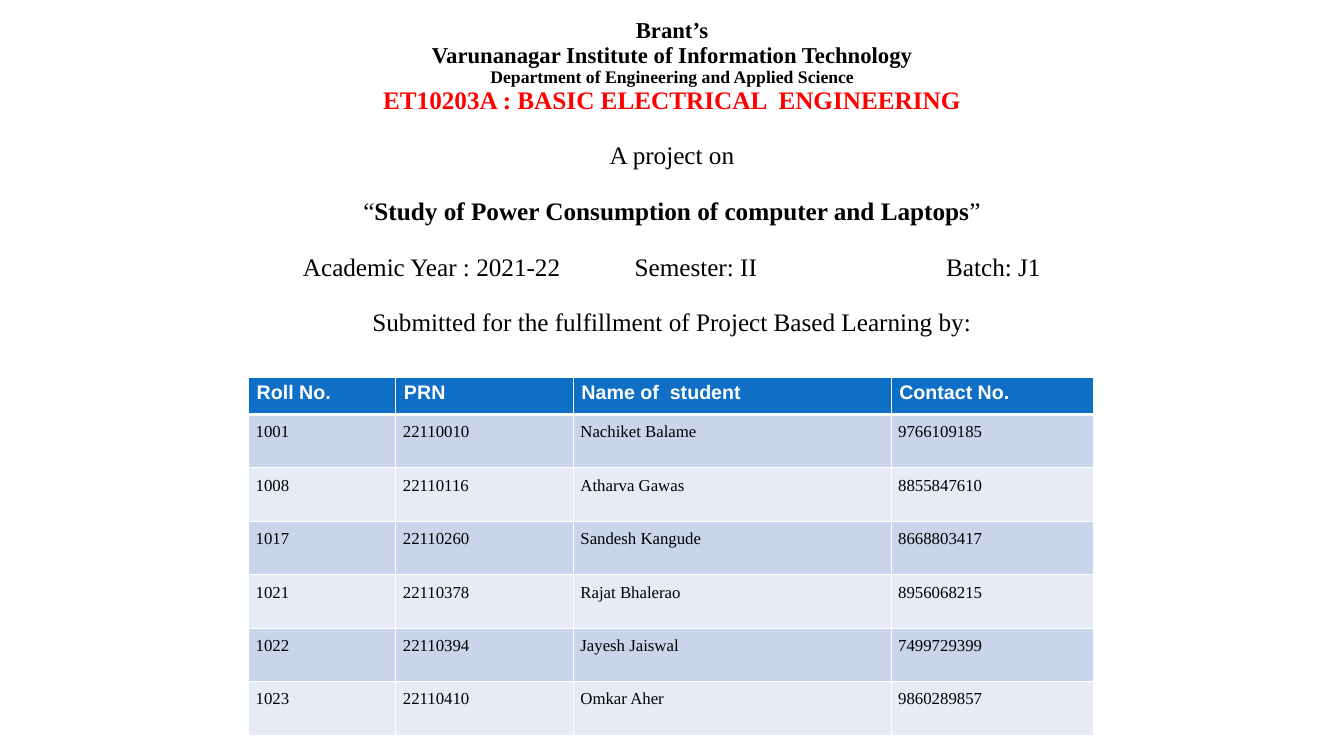
from lxml.etree import SubElement
from pptx import Presentation
from pptx.dml.color import RGBColor
from pptx.enum.text import PP_ALIGN as Align
from pptx.oxml.ns import qn
from pptx.util import Emu, Inches, Pt

BLACK = RGBColor(0x00, 0x00, 0x00)
WHITE = RGBColor(0xFF, 0xFF, 0xFF)
RED = RGBColor(0xFF, 0x00, 0x00)
BLUE = RGBColor(0x0F, 0x6F, 0xC6)
BAND_DARK = RGBColor(0xCA, 0xD4, 0xEA)
BAND_LIGHT = RGBColor(0xE6, 0xEB, 0xF5)

SERIF, SANS = "Times New Roman", "Arial"
GAP = 20.3
TAB_STOPS = (1.24, 4.53, 7.62)
COL_WEIGHTS = (1.46, 1.76, 3.15, 2.01)

HEADING = [
    ("Brant’s", 16.2, BLACK, True, 0),
    ("Varunanagar Institute of Information Technology", 16.2, BLACK, True, 0),
    ("Department of Engineering and Applied Science", 12.6, BLACK, True, 0),
    ("ET10203A : BASIC ELECTRICAL  ENGINEERING", 18, RED, True, 0),
    ("A project on", 18, BLACK, False, GAP),
]
TOPIC = "Study of Power Consumption of computer and Laptops"
TERM = ("Academic Year : 2021-22", "Semester: II", "Batch: J1")
PURPOSE = "Submitted for the fulfillment of Project Based Learning by:"

STUDENTS = [
    ("Roll No.", "PRN", "Name of  student", "Contact No."),
    ("1001", "22110010", "Nachiket Balame", "9766109185"),
    ("1008", "22110116", "Atharva Gawas", "8855847610"),
    ("1017", "22110260", "Sandesh Kangude", "8668803417"),
    ("1021", "22110378", "Rajat Bhalerao", "8956068215"),
    ("1022", "22110394", "Jayesh Jaiswal", "7499729399"),
    ("1023", "22110410", "Omkar Aher", "9860289857"),
]


class Deck:
    """Holds the slide and its style; lengths are percentages of the slide."""

    def __init__(self):
        self.prs = Presentation()
        self.prs.slide_width, self.prs.slide_height = Inches(13.33), Inches(7.5)
        self.s = self.prs.slides.add_slide(self.prs.slide_layouts[6])

    def box(self, x, y, w, h):
        width, height = self.prs.slide_width, self.prs.slide_height
        return [Emu(int(share * side / 100)) for share, side in
                ((x, width), (y, height), (w, width), (h, height))]

    def style(self, p, size, color, bold, face=SERIF):
        p.font.size, p.font.bold, p.font.name = Pt(size), bold, face
        p.font.color.rgb = color

    def frame(self, *area):
        tf = self.s.shapes.add_textbox(*self.box(*area)).text_frame
        tf.word_wrap = True
        return tf

    def line(self, tf, parts, size=18, color=BLACK, bold=False, before=GAP, tabs=()):
        p = tf.paragraphs[0] if not tf.text else tf.add_paragraph()
        p.alignment = Align.LEFT if tabs else Align.CENTER
        p.line_spacing, p.space_before = 0.9, Pt(before)
        if tabs:
            tab_list = SubElement(p._p.get_or_add_pPr(), qn("a:tabLst"))
            for stop in tabs:
                SubElement(tab_list, qn("a:tab"), pos=str(Inches(stop)), algn="l")
        self.style(p, size, color, bold)
        for text, strong in parts:
            r = p.add_run()
            r.text = text
            if strong:
                r.font.bold = True

    def border(self, cell, side, width):
        ln = SubElement(cell._tc.get_or_add_tcPr(), qn(f"a:ln{side}"), w=str(Pt(width)))
        fill = SubElement(ln, qn("a:solidFill"))
        SubElement(fill, qn("a:srgbClr"), val=str(WHITE))

    def cell(self, cell, text, row):
        header = row == 0
        for side in "LRTB":
            heavy = (row, side) in ((0, "B"), (1, "T"))
            self.border(cell, side, 2.4 if heavy else 0.8)
        cell.fill.solid()
        cell.fill.fore_color.rgb = BLUE if header else BAND_DARK if row % 2 else BAND_LIGHT
        cell.margin_left = cell.margin_right = Inches(0.08 if header else 0.07)
        cell.margin_top = cell.margin_bottom = Inches(0.04 if header else 0.07)
        p = cell.text_frame.paragraphs[0]
        p.add_run().text = text
        if header:
            self.style(p, 14, WHITE, True, SANS)
        else:
            p.line_spacing, p.space_after = 1.07, Pt(8)
            self.style(p, 12, BLACK, False)

    def table(self, rows, weights, *area):
        x, y, w, h = self.box(*area)
        tbl = self.s.shapes.add_table(len(rows), len(weights), x, y, w, h).table
        for col, weight in zip(tbl.columns, weights):
            col.width = Emu(int(w * weight / sum(weights)))
        for i, values in enumerate(rows):
            tbl.rows[i].height = Inches(0.53 if i else 0.37)
            for j, text in enumerate(values):
                self.cell(tbl.cell(i, j), text, i)


def main():
    deck = Deck()
    tf = deck.frame(12.5, 1.9, 75, 54.7)
    for text, size, color, bold, before in HEADING:
        deck.line(tf, [(text, False)], size, color, bold, before)
    deck.line(tf, [("“", False), (TOPIC, True), ("”", False)])
    deck.line(tf, [("\t" + "\t".join(TERM), False)], tabs=TAB_STOPS)
    deck.line(tf, [(PURPOSE, False)])
    deck.table(STUDENTS, COL_WEIGHTS, 18.5, 49.9, 62.9, 47.3)
    deck.prs.save("out.pptx")


if __name__ == "__main__":
    main()
